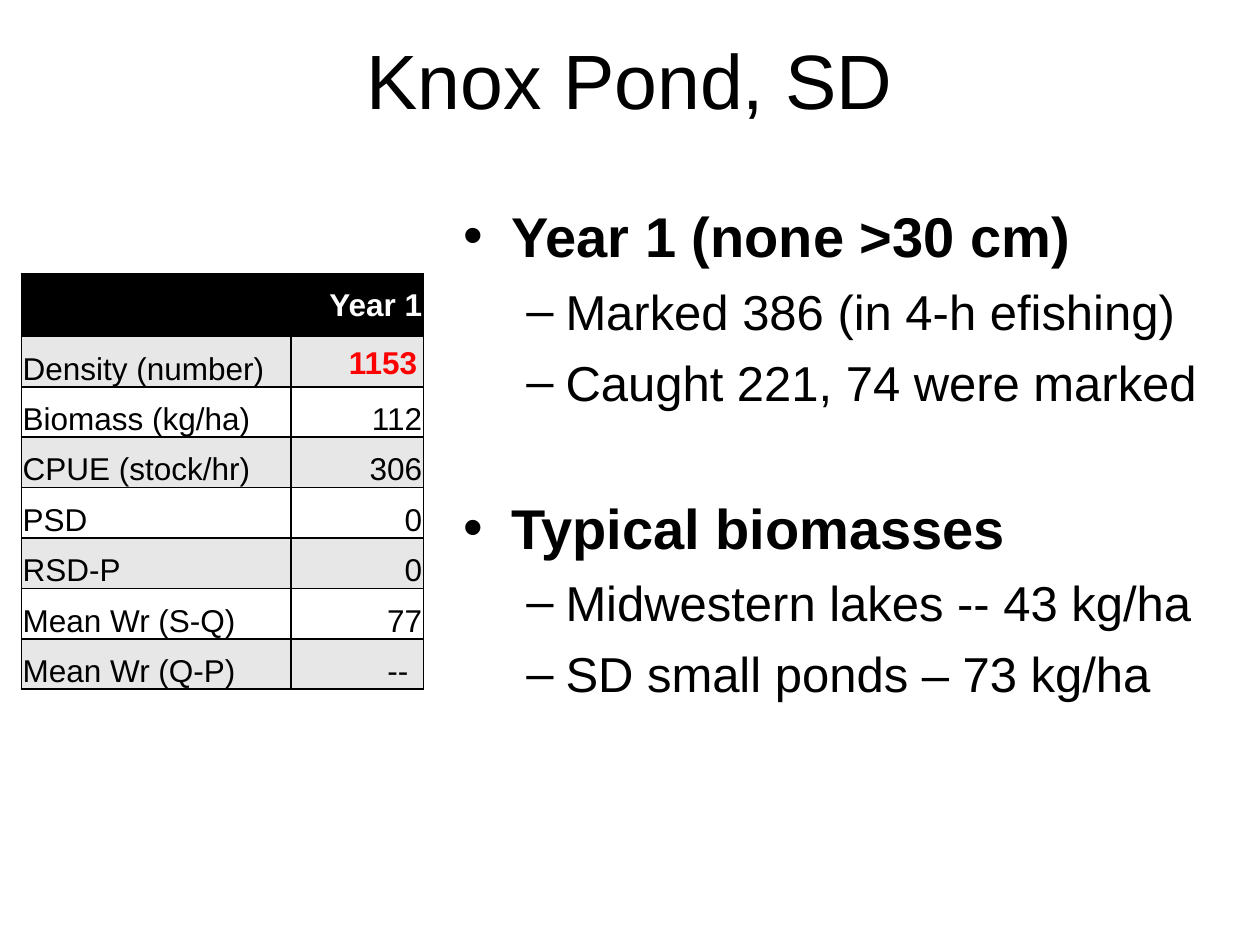
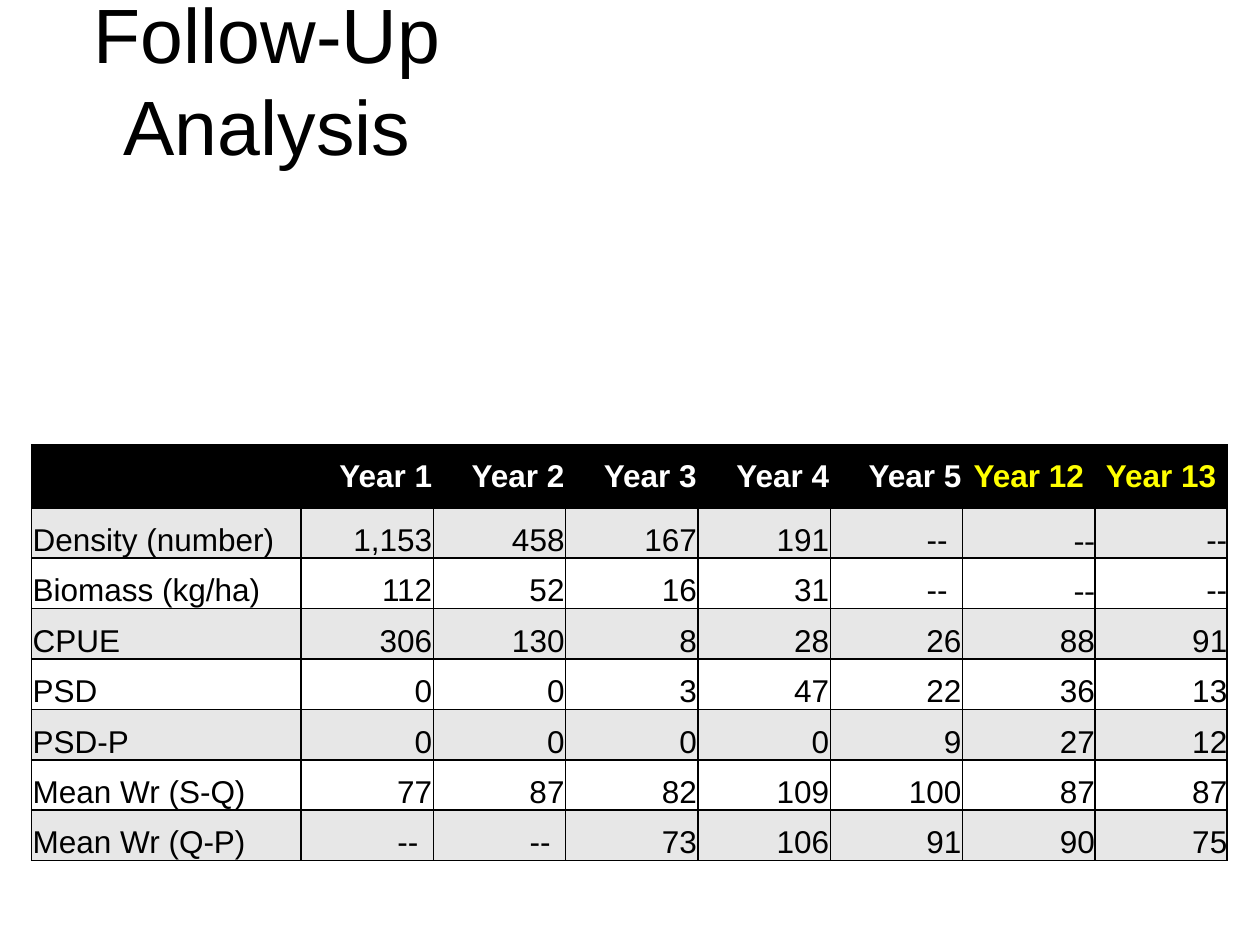
"""Build two slides on the Knox Pond fish survey and its follow-up analysis."""
from dataclasses import dataclass

from lxml import etree
from pptx import Presentation
from pptx import util as u
from pptx.dml.color import RGBColor
from pptx.enum import text
from pptx.oxml import ns


@dataclass(frozen=True)
class Theme:
    font: str = "Arial"
    dash_font: str = "Times New Roman"
    black: str = "000000"
    white: str = "FFFFFF"
    band: str = "E7E7E7"
    estimate: str = "FF0000"
    later_year: str = "FFFF00"
    title_size: int = 44
    heading_size: int = 32
    point_size: int = 28
    table_size: int = 18


THEME = Theme()
ALIGN, ANCHOR = text.PP_ALIGN, text.MSO_ANCHOR

LABEL_WIDTH, YEAR_WIDTH = 2.14, 1.05
HEADER_HEIGHT, ROW_HEIGHT = 0.5, 0.4
CELL_INSET, DASH_INSET = 0.01, 0.12
POINT_GAP, SECTION_GAP = 7, 47
NO_DATA = "--"
LATER_YEARS = ("Year 12", "Year 13")

DENSITY_ESTIMATE = "1153"
FIRST_SURVEY = [
    ("", "Year 1"),
    ("Density (number)", ""),
    ("Biomass (kg/ha)", "112"),
    ("CPUE (stock/hr)", "306"),
    ("PSD", "0"),
    ("RSD-P", "0"),
    ("Mean Wr (S-Q)", "77"),
    ("Mean Wr (Q-P)", NO_DATA),
]

FOLLOW_UP = [
    ("", "Year 1", "Year 2", "Year 3", "Year 4", "Year 5", *LATER_YEARS),
    ("Density (number)", "1,153", "458", "167", "191", NO_DATA, NO_DATA, NO_DATA),
    ("Biomass (kg/ha)", "112", "52", "16", "31", NO_DATA, NO_DATA, NO_DATA),
    ("CPUE", "306", "130", "8", "28", "26", "88", "91"),
    ("PSD", "0", "0", "3", "47", "22", "36", "13"),
    ("PSD-P", "0", "0", "0", "0", "9", "27", "12"),
    ("Mean Wr (S-Q)", "77", "87", "82", "109", "100", "87", "87"),
    ("Mean Wr (Q-P)", NO_DATA, NO_DATA, "73", "106", "91", "90", "75"),
]

FINDINGS = [
    ("Year 1 (none >30 cm)",
     ["Marked 386 (in 4-h efishing)", "Caught 221, 74 were marked"]),
    ("Typical biomasses",
     ["Midwestern lakes -- 43 kg/ha", "SD small ponds – 73 kg/ha"]),
]


def style(paragraph, size, color=THEME.black, bold=False, font=THEME.font):
    for run in paragraph.runs:
        run.font.name, run.font.size, run.font.bold = font, u.Pt(size), bold
        run.font.color.rgb = RGBColor.from_string(color)


def add_text_box(slide, left, top, width, height, wrap=True):
    box = slide.shapes.add_textbox(*map(u.Inches, (left, top, width, height)))
    box.text_frame.word_wrap = wrap
    return box.text_frame


def add_title(slide, title, left, width):
    frame = add_text_box(slide, left, 0, width, 1.25)
    frame.vertical_anchor = ANCHOR.MIDDLE
    frame.text = title
    frame.paragraphs[0].alignment = ALIGN.CENTER
    style(frame.paragraphs[0], THEME.title_size)


def add_bullet(paragraph, character, left, hanging):
    properties = paragraph._p.get_or_add_pPr()
    properties.set("marL", str(u.Inches(left)))
    properties.set("indent", str(-u.Inches(hanging)))
    etree.SubElement(properties, ns.qn("a:buFont"), typeface=THEME.font)
    etree.SubElement(properties, ns.qn("a:buChar"), char=character)


def add_findings(slide):
    frame = add_text_box(slide, 3.58, 1.5, 6.25, 5.2)
    frame.margin_top = u.Inches(0.1)
    lines = []
    for heading, points in FINDINGS:
        lines.append((heading, True))
        lines += [(point, False) for point in points]
    for index, (line, is_heading) in enumerate(lines):
        paragraph = frame.add_paragraph() if index else frame.paragraphs[0]
        paragraph.text = line
        if index:
            paragraph.space_before = u.Pt(SECTION_GAP if is_heading else POINT_GAP)
        if is_heading:
            add_bullet(paragraph, "•", 0.38, 0.38)
            style(paragraph, THEME.heading_size, bold=True)
        else:
            paragraph.level = 1
            add_bullet(paragraph, "–", 0.81, 0.31)
            style(paragraph, THEME.point_size)


def add_borders(cell):
    properties = cell._tc.get_or_add_tcPr()
    for side in ("lnL", "lnR", "lnT", "lnB"):
        line = etree.SubElement(properties, ns.qn(f"a:{side}"), w=str(u.Pt(1)))
        fill = etree.SubElement(line, ns.qn("a:solidFill"))
        etree.SubElement(fill, ns.qn("a:srgbClr"), val=THEME.black)


def fill_cell(cell, value, year, is_header, is_label, fill):
    is_later = year in LATER_YEARS
    is_dash = value == NO_DATA
    inset = 0 if is_later else CELL_INSET
    cell.margin_left = cell.margin_top = u.Inches(inset)
    cell.margin_right = u.Inches(DASH_INSET if is_dash and not is_later else inset)
    cell.margin_bottom = 0
    cell.vertical_anchor = ANCHOR.MIDDLE if is_header else ANCHOR.BOTTOM
    add_borders(cell)
    cell.fill.solid()
    cell.fill.fore_color.rgb = RGBColor.from_string(fill)
    cell.text = value
    paragraph = cell.text_frame.paragraphs[0]
    if is_header:
        paragraph.alignment = ALIGN.CENTER if is_later else ALIGN.RIGHT
        color = THEME.later_year if is_later else THEME.white
    else:
        paragraph.alignment = ALIGN.LEFT if is_label else ALIGN.RIGHT
        color = THEME.black
    font = THEME.dash_font if is_dash and year == LATER_YEARS[0] else THEME.font
    style(paragraph, THEME.table_size, color, is_header, font)


def add_survey_table(slide, rows, left, top):
    years = rows[0]
    widths = [LABEL_WIDTH] + [YEAR_WIDTH] * (len(years) - 1)
    heights = [HEADER_HEIGHT] + [ROW_HEIGHT] * (len(rows) - 1)
    frame = slide.shapes.add_table(
        len(rows), len(years),
        *map(u.Inches, (left, top, sum(widths), sum(heights))))
    table = frame.table
    for column, width in zip(table.columns, widths):
        column.width = u.Inches(width)
    for row, height in zip(table.rows, heights):
        row.height = u.Inches(height)
    for row_index, values in enumerate(rows):
        is_header = row_index == 0
        banded = THEME.band if row_index % 2 else THEME.white
        fill = THEME.black if is_header else banded
        for column_index, value in enumerate(values):
            fill_cell(table.cell(row_index, column_index), value,
                      years[column_index], is_header, column_index == 0, fill)


def add_density_estimate(slide):
    frame = add_text_box(slide, 2.67, 2.67, 0.74, 0.4, wrap=False)
    frame.text = DENSITY_ESTIMATE
    style(frame.paragraphs[0], THEME.table_size, THEME.estimate, bold=True)


def main():
    presentation = Presentation()
    presentation.slide_width, presentation.slide_height = u.Inches(10), u.Inches(7.5)
    blank = presentation.slide_layouts[6]

    pond = presentation.slides.add_slide(blank)
    add_title(pond, "Knox Pond, SD", 0.5, 9)
    add_survey_table(pond, FIRST_SURVEY, 0.17, 2.17)
    add_findings(pond)
    add_density_estimate(pond)

    follow_up = presentation.slides.add_slide(blank)
    add_survey_table(follow_up, FOLLOW_UP, 0.25, 3.53)
    add_title(follow_up, "Follow-Up Analysis", 0.08, 4.08)

    presentation.save("out.pptx")


if __name__ == "__main__":
    main()
